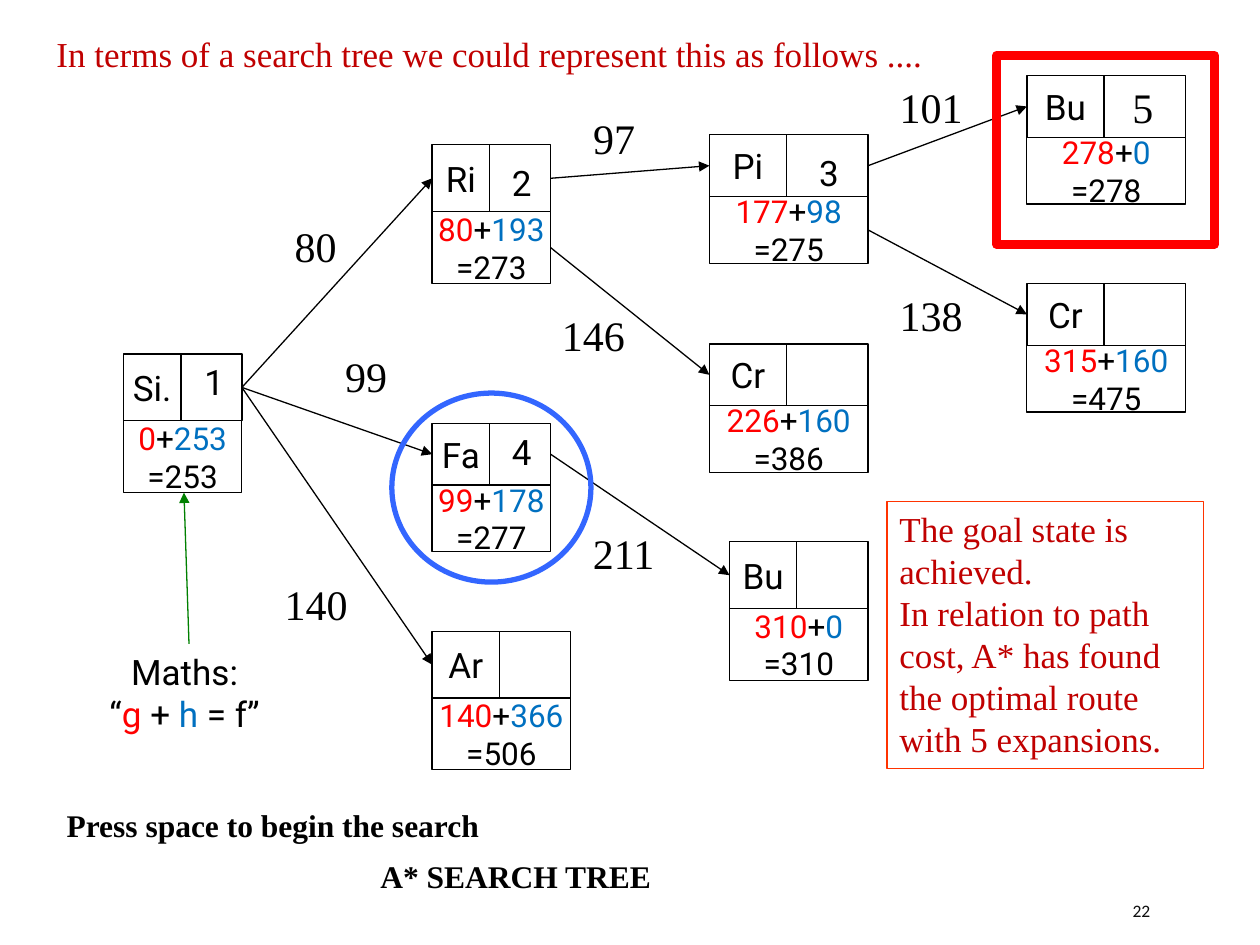
import pptx
import pptx.util
import pptx.dml.color
import pptx.enum.shapes
import pptx.enum.text
import pptx.oxml.ns
from lxml import etree

Inches = pptx.util.Inches
Pt = pptx.util.Pt
RGBColor = pptx.dml.color.RGBColor
Shape = pptx.enum.shapes.MSO_SHAPE
Align = pptx.enum.text.PP_ALIGN
Anchor = pptx.enum.text.MSO_ANCHOR

BLACK = RGBColor(0x00, 0x00, 0x00)
RED = RGBColor(0xFF, 0x00, 0x00)
BLUE = RGBColor(0x00, 0x70, 0xC0)
DARK_RED = RGBColor(0xC0, 0x00, 0x00)
ORANGE = RGBColor(0xFF, 0x33, 0x00)
GREEN = RGBColor(0x00, 0x80, 0x00)
RING_BLUE = RGBColor(0x33, 0x66, 0xFF)
NUMBER_GREY = RGBColor(0x0D, 0x0D, 0x0D)
SERIF, SANS = "Times New Roman", "Roboto"

# Tree nodes: key -> (city, left, top, width, head height, g, h, f)
NODES = {
    "Si": ("Si.", 0.98, 2.81, 0.94, 0.53, "0", "253", "253"),
    "Ri": ("Ri", 3.43, 1.15, 0.94, 0.53, "80", "193", "273"),
    "Fa": ("Fa", 3.43, 3.36, 0.94, 0.49, "99", "178", "277"),
    "Ar": ("Ar", 3.43, 5.01, 1.1, 0.53, "140", "366", "506"),
    "Pi": ("Pi", 5.63, 1.07, 1.26, 0.49, "177", "98", "275"),
    "Cr via Ri": ("Cr", 5.63, 2.73, 1.26, 0.49, "226", "160", "386"),
    "Bu via Fa": ("Bu", 5.79, 4.3, 1.1, 0.53, "310", "0", "310"),
    "Bu via Pi": ("Bu", 8.15, 0.6, 1.26, 0.49, "278", "0", "278"),
    "Cr via Pi": ("Cr", 8.15, 2.25, 1.26, 0.49, "315", "160", "475"),
}
NAME_SHARE = 0.486   # part of the head taken by the city name
FOOT_EXTRA = 0.04    # the foot is this much taller than the head

# Edges: parent, row it leaves from, child, cost, cost label left, top, width
EDGES = [
    ("Si", "head", "Ri", "80", 2.24, 1.7, 0.53),
    ("Si", "head", "Fa", "99", 2.64, 2.73, 0.53),
    ("Si", "head", "Ar", "140", 2.16, 4.54, 0.7),
    ("Ri", "head", "Pi", "97", 4.61, 0.84, 0.53),
    ("Ri", "foot", "Cr via Ri", "146", 4.36, 2.41, 0.7),
    ("Fa", "head", "Bu via Fa", "211", 4.6, 4.14, 0.7),
    ("Pi", "head", "Bu via Pi", "101", 7.04, 0.6, 0.7),
    ("Pi", "foot", "Cr via Pi", "138", 7.04, 2.25, 0.7),
]

# Order of expansion: number, left, top
STEPS = [("1", 1.46, 2.81), ("2", 3.9, 1.23), ("3", 6.34, 1.15), ("4", 3.9, 3.36)]

# Captions: text, left, top, width, height, size, colour, bold
CAPTIONS = [
    ("In terms of a search tree we could represent this as follows ....",
     0.35, 0.21, 8.67, 0.44, 20, DARK_RED, False),
    ("Press space to begin the search", 0.43, 6.35, 4.92, 0.4, 18, BLACK, True),
    ("A* SEARCH TREE", 2.92, 6.75, 4.92, 0.4, 18, BLACK, True),
]
GOAL_LINES = [
    [("The goal state is achieved.", DARK_RED)],
    [("In relation to path cost, A* has found the optimal route with 5 expansions.",
      DARK_RED)],
]
FORMULA_LINES = [
    [("Maths: ", BLACK)],
    [("“", BLACK), ("g", RED), (" + ", BLACK), ("h", BLUE), (" = f” ", BLACK)],
]


def write(shape, lines, size, font, align=Align.CENTER, middle=False,
          inset=True, wrap=True, bold=False):
    """Fill one paragraph with lines, each a list of (text, colour)."""
    frame = shape.text_frame
    frame.word_wrap = wrap
    frame.vertical_anchor = Anchor.MIDDLE if middle else Anchor.TOP
    if not inset:
        frame.margin_left = frame.margin_right = 0
        frame.margin_top = frame.margin_bottom = 0
    para = frame.paragraphs[0]
    para.alignment = align
    for index, line in enumerate(lines):
        if index:
            para.add_line_break()
        for text, colour in line:
            span = para.add_run()
            span.text = text
            span.font.size = Pt(size)
            span.font.name = font
            span.font.bold = bold
            span.font.color.rgb = colour


def add_text(at, lines, size, font, **options):
    box = page.shapes.add_textbox(*map(Inches, at))
    write(box, lines, size, font, **options)


def add_outline(shapes, at, colour=BLACK, width=0.75, kind=Shape.RECTANGLE):
    shape = shapes.add_shape(kind, *map(Inches, at))
    shape.shadow.inherit = False
    shape.fill.background()
    shape.line.color.rgb = colour
    shape.line.width = Pt(width)
    return shape


def add_arrow(start, end, colour=BLACK):
    arrow = page.shapes.add_connector(
        pptx.enum.shapes.MSO_CONNECTOR.STRAIGHT, *map(Inches, start + end))
    arrow.line.color.rgb = colour
    arrow.line.width = Pt(0.75)
    qn = pptx.oxml.ns.qn
    etree.SubElement(arrow.line._get_or_add_ln(), qn("a:tailEnd"), type="triangle")
    etree.SubElement(arrow._element.spPr, qn("a:effectLst"))


def add_node(city, left, top, width, head, g, h, f):
    shapes = page.shapes.add_group_shape().shapes
    name_width = width * NAME_SHARE
    name = add_outline(shapes, (left, top, name_width, head))
    write(name, [[(city, BLACK)]], 20, SANS, middle=True, inset=False)
    foot = add_outline(shapes, (left, top + head, width, head + FOOT_EXTRA))
    write(foot, [[(g, RED), ("+", BLACK), (h, BLUE)], [("=" + f, BLACK)]],
          18, SANS, middle=True, inset=False)
    add_outline(shapes, (left + name_width, top, width - name_width, head))


def row_middle(key, row):
    top, head = NODES[key][2], NODES[key][4]
    return top + head / 2 if row == "head" else top + head + (head + FOOT_EXTRA) / 2


deck = pptx.Presentation()
deck.slide_width, deck.slide_height = Inches(10), Inches(7.5)
page = deck.slides.add_slide(deck.slide_layouts[6])

# Captions
for text, left, top, width, height, size, colour, bold in CAPTIONS:
    add_text((left, top, width, height), [[(text, colour)]], size, SERIF,
             align=Align.LEFT, bold=bold)

# Tree
for node in NODES.values():
    add_node(*node)
for parent, row, child, cost, left, top, width in EDGES:
    parent_right = NODES[parent][1] + NODES[parent][3]
    add_arrow((parent_right, row_middle(parent, row)),
              (NODES[child][1], row_middle(child, "head")))
    add_text((left, top, width, 0.5), [[(cost, BLACK)]], 24, SERIF, wrap=False)

# Order of expansion, with the goal as the fifth
for number, left, top in STEPS:
    add_text((left, top, 0.48, 0.44), [[(number, BLACK)]], 20, SANS,
             middle=True, inset=False)
add_text((8.78, 0.6, 0.58, 0.5), [[("5", BLACK)]], 24, SERIF)

# Formula note
add_text((0.66, 5.11, 1.68, 0.77), FORMULA_LINES, 20, SANS, middle=True, wrap=False)
add_arrow((1.5, 5.11), (1.46, 3.91), GREEN)

# Conclusion
goal = add_outline(page.shapes, (7.04, 3.98, 2.51, 2.12), ORANGE)
write(goal, GOAL_LINES, 20, SERIF, align=Align.LEFT)

# Highlights
add_outline(page.shapes, (7.91, 0.44, 1.73, 1.5), RED, 5)
add_outline(page.shapes, (3.11, 3.12, 1.58, 1.5), RING_BLUE, 3, Shape.OVAL)

# Page number
add_text((8.89, 7.08, 0.8, 0.3), [[("22", NUMBER_GREY)]], 10, "Calibri",
         align=Align.LEFT, middle=True)

deck.save("out.pptx")
